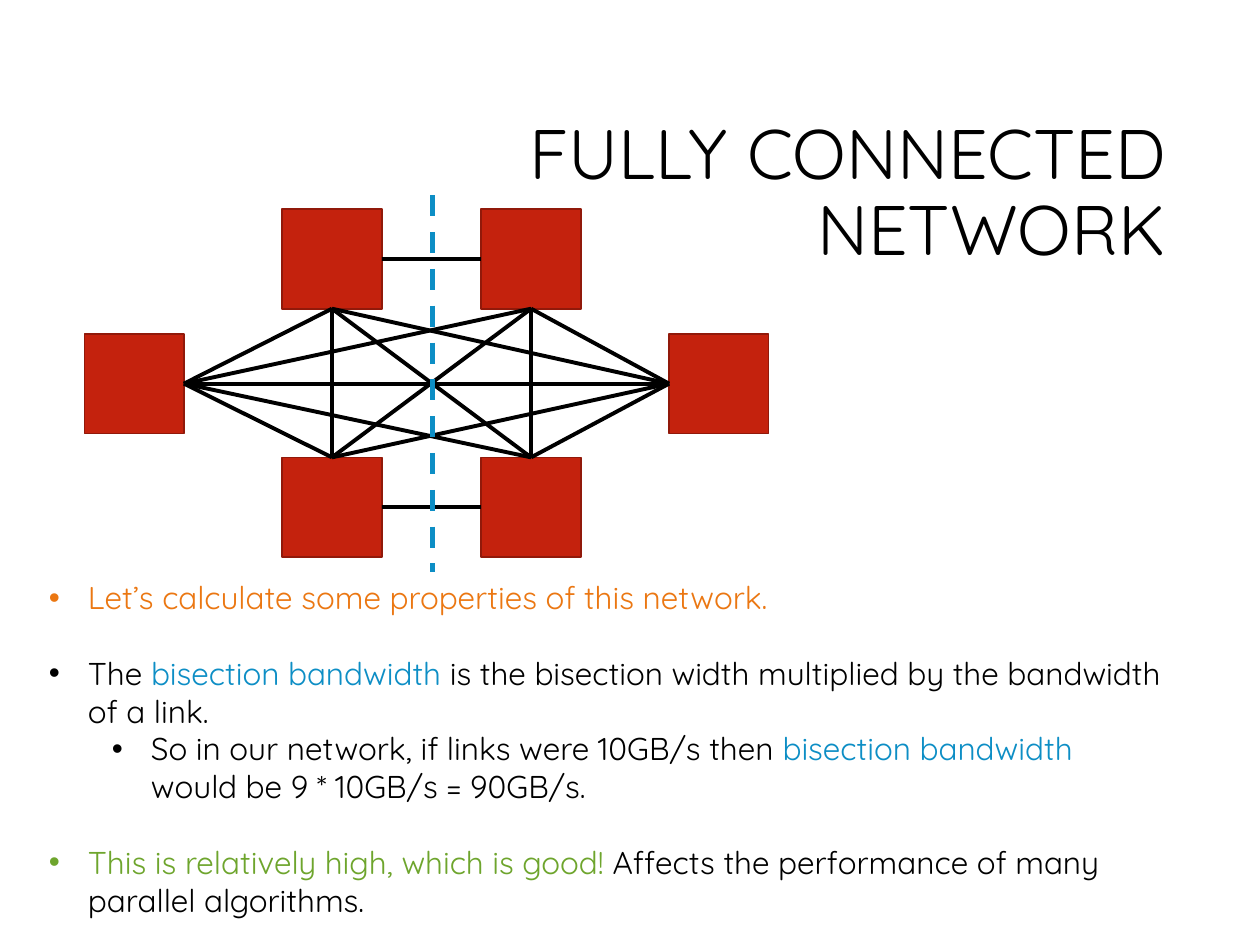
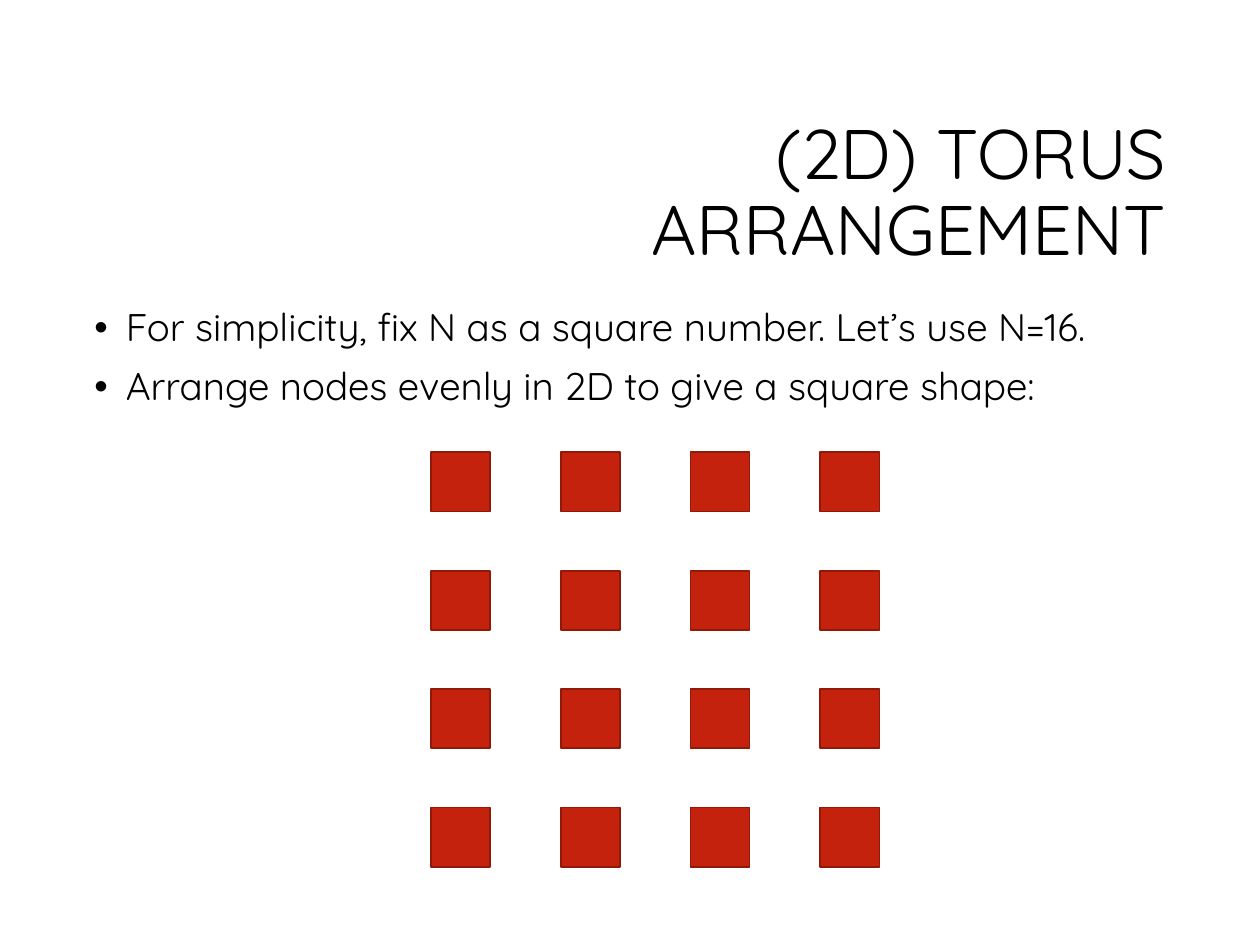
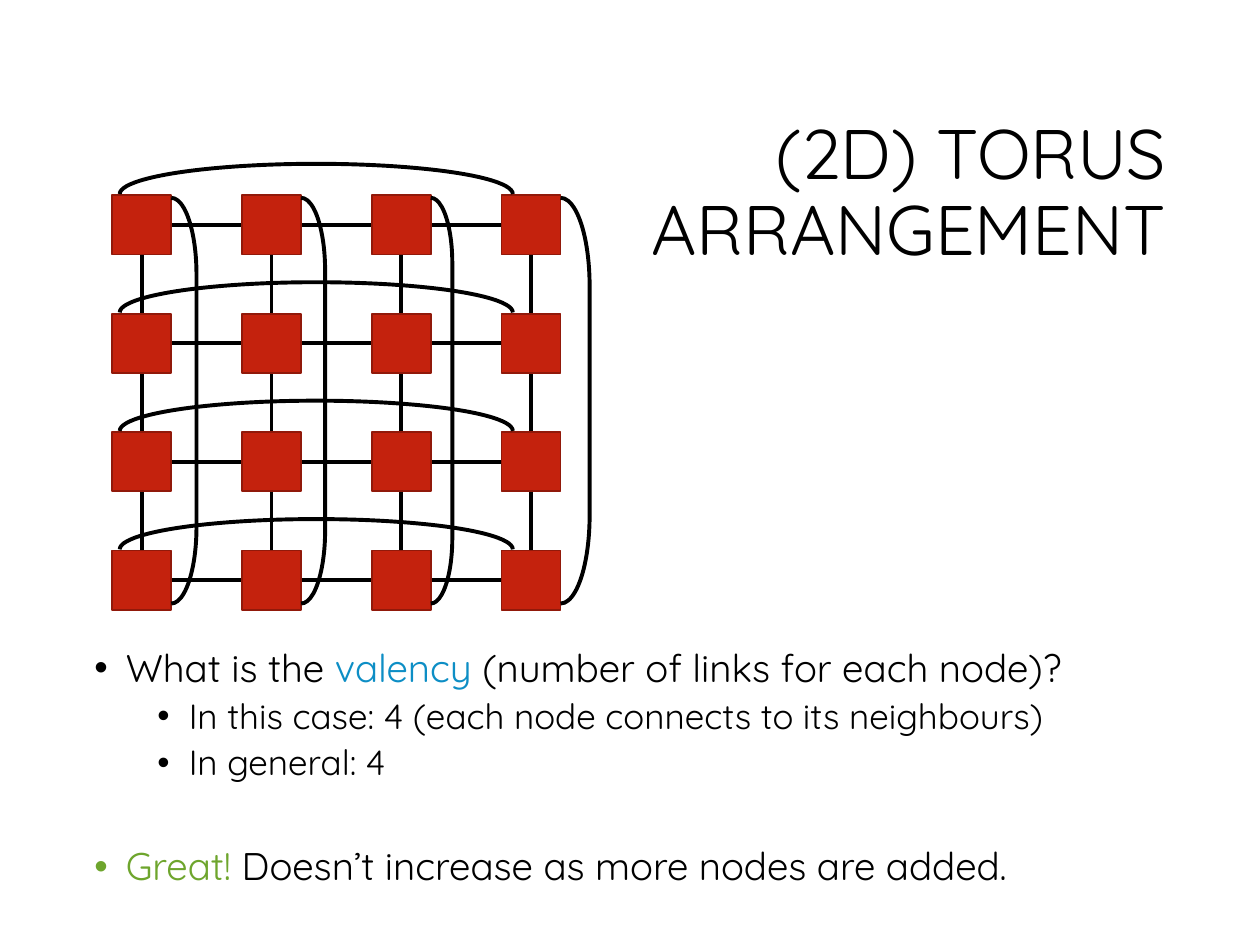
from dataclasses import dataclass
from itertools import combinations, product

from lxml import etree
from pptx import Presentation
from pptx.dml.color import RGBColor as Rgb
from pptx.enum.dml import MSO_LINE_DASH_STYLE as Dash
from pptx.enum.shapes import MSO_CONNECTOR as Connector, MSO_SHAPE as Shape
from pptx.enum.text import MSO_ANCHOR as Anchor, PP_ALIGN as Align
from pptx.oxml.ns import qn
from pptx.util import Inches, Pt


@dataclass(frozen=True)
class Theme:
    font: str = "Quicksand"
    black: str = "000000"
    orange: str = "EB7712"
    blue: str = "0D8EC5"
    green: str = "6EA52D"
    node_fill: str = "C4220D"
    node_line: str = "91190A"
    title_size: int = 40
    body_size: int = 22
    sub_size: int = 20
    dense_size: int = 18
    node_width: float = 1
    link_width: float = 2.25
    cut_width: float = 3
    tight: float = 0.9


THEME = Theme()

# Content. A bullet is (level, size, space before, runs); a run is (text, colour).
FULL_TITLE = "FULLY CONNECTED NETWORK"
TORUS_TITLE = "(2D) TORUS ARRANGEMENT"

BANDWIDTH_BULLETS = [
    (0, THEME.dense_size, 0,
     [("Let’s calculate some properties of this network.", THEME.orange)]),
    (0, THEME.dense_size, 21.6,
     [("The ", THEME.black), ("bisection bandwidth", THEME.blue),
      (" is the bisection width multiplied by the bandwidth of a link.", THEME.black)]),
    (1, THEME.dense_size, 0,
     [("So in our network, if links were 10GB/s then ", THEME.black),
      ("bisection bandwidth ", THEME.blue),
      ("would be 9 * 10GB/s = 90GB/s.", THEME.black)]),
    (0, THEME.dense_size, 21.6,
     [("This is relatively high, which is good! ", THEME.green),
      ("Affects the performance of many parallel algorithms.", THEME.black)]),
]
GRID_BULLETS = [
    (0, THEME.body_size, 0,
     [("For simplicity, fix N as a square number. Let’s use N=16.", THEME.black)]),
    (0, THEME.body_size, 10,
     [("Arrange nodes evenly in 2D to give a square shape:", THEME.black)]),
]
VALENCY_BULLETS = [
    (0, THEME.body_size, 0,
     [("What is the ", THEME.black), ("valency ", THEME.blue),
      ("(number of links for each node)?", THEME.black)]),
    (1, THEME.sub_size, 5,
     [("In this case: 4 (each node connects to its neighbours)", THEME.black)]),
    (1, THEME.sub_size, 5, [("In general: 4", THEME.black)]),
    (0, THEME.body_size, 36.6,
     [("Great! ", THEME.green),
      ("Doesn’t increase as more nodes are added.", THEME.black)]),
]

# Node positions, in inches
BIG_NODE = 0.79
INNER_X, INNER_Y = (2.24, 3.82), (1.66, 3.63)
OUTER_X, OUTER_Y = (0.67, 5.31), 2.65
SMALL_NODE, SIDE = 0.47, 4
STEP_X, STEP_Y = 1.03, 0.94
COLUMN_LOOP_WIDTHS = (0.2, 0.19, 0.17, 0.23)


def add_text_box(page, left, top, width, height):
    box = page.shapes.add_textbox(*map(Inches, (left, top, width, height)))
    box.text_frame.word_wrap = True
    return box.text_frame


def style_font(font, size, colour):
    font.name, font.size = THEME.font, Pt(size)
    font.color.rgb = Rgb.from_string(colour)


def add_title(page, text):
    frame = add_text_box(page, 2.38, 0.84, 6.97, 1.41)
    frame.vertical_anchor = Anchor.MIDDLE
    para = frame.paragraphs[0]
    para.text, para.alignment, para.line_spacing = text, Align.RIGHT, THEME.tight
    style_font(para.font, THEME.title_size, THEME.black)


def add_bullets(page, area, bullets, hang, line_spacing=None):
    frame = add_text_box(page, *area)
    for index, (level, size, before, runs) in enumerate(bullets):
        para = frame.add_paragraph() if index else frame.paragraphs[0]
        para.level = level
        para.line_spacing = line_spacing
        para.space_before = Pt(before)
        props = para._p.get_or_add_pPr()
        props.set("marL", str(Inches(hang + 0.5 * level)))
        props.set("indent", str(-Inches(hang)))
        etree.SubElement(props, qn("a:buFont"), typeface="Arial")
        etree.SubElement(props, qn("a:buChar"), char="•")
        style_font(para.font, size, runs[0][1])
        for text, colour in runs:
            span = para.add_run()
            span.text = text
            if len(runs) > 1:
                span.font.color.rgb = Rgb.from_string(colour)


def add_node(page, left, top, size):
    node = page.shapes.add_shape(Shape.RECTANGLE, *map(Inches, (left, top, size, size)))
    node.shadow.inherit = False
    node.fill.solid()
    node.fill.fore_color.rgb = Rgb.from_string(THEME.node_fill)
    node.line.color.rgb = Rgb.from_string(THEME.node_line)
    node.line.width = Pt(THEME.node_width)


def add_link(page, start, end, colour=THEME.black, width=THEME.link_width):
    link = page.shapes.add_connector(Connector.STRAIGHT, *map(Inches, (*start, *end)))
    link.line.color.rgb = Rgb.from_string(colour)
    link.line.width = Pt(width)
    etree.SubElement(link._element.spPr, qn("a:effectLst"))
    return link


def add_loop(page, left, top, width, height, bend, rotation=0):
    loop = page.shapes.add_shape(
        Shape.RIGHT_BRACKET, *map(Inches, (left, top, width, height)))
    loop.shadow.inherit = False
    loop.fill.background()
    loop.line.color.rgb = Rgb.from_string(THEME.black)
    loop.line.width = Pt(THEME.link_width)
    loop.adjustments[0] = bend
    loop.rotation = rotation


def add_node_grid(page, left, top):
    for row, column in product(range(SIDE), repeat=2):
        add_node(page, left + column * STEP_X, top + row * STEP_Y, SMALL_NODE)


def add_grid_links(page, left, top):
    half = SMALL_NODE / 2
    for line, gap in product(range(SIDE), range(SIDE - 1)):
        y = top + line * STEP_Y + half
        x = left + gap * STEP_X + SMALL_NODE
        add_link(page, (x, y), (x + STEP_X - SMALL_NODE, y))
        x = left + line * STEP_X + half
        y = top + gap * STEP_Y + SMALL_NODE
        add_link(page, (x, y), (x, y + STEP_Y - SMALL_NODE))


def add_wraparound_loops(page, left, top):
    for row in range(SIDE):
        add_loop(page, 2.39, top - 1.69 + row * STEP_Y, 0.24, 3.12, 6.61, rotation=270)
    for column, width in enumerate(COLUMN_LOOP_WIDTHS):
        add_loop(page, left + column * STEP_X + SMALL_NODE, top + 0.02, width, 3.22, 3.04)


def build_full_network(page):
    add_title(page, FULL_TITLE)
    inner = list(product(INNER_X, INNER_Y))
    for left, top in inner + [(x, OUTER_Y) for x in OUTER_X]:
        add_node(page, left, top, BIG_NODE)

    # Every pair of nodes meets at the edges that face the middle
    half = BIG_NODE / 2
    middle = OUTER_Y + half
    port_y = (INNER_Y[0] + BIG_NODE, INNER_Y[1])
    ports = [(x + half, y) for x, y in product(INNER_X, port_y)]
    ports += [(OUTER_X[0] + BIG_NODE, middle), (OUTER_X[1], middle)]
    for start, end in combinations(ports, 2):
        if start[1] != end[1] or start[1] == middle:
            add_link(page, start, end)
    for top in INNER_Y:
        add_link(page, (INNER_X[0] + BIG_NODE, top + half), (INNER_X[1], top + half))

    add_bullets(page, (0.29, 4.54, 9.06, 2.83), BANDWIDTH_BULLETS, hang=0.31)
    cut = add_link(page, (3.43, 1.55), (3.43, 4.54), THEME.blue, THEME.cut_width)
    cut.line.dash_style = Dash.DASH


def build_node_grid(page):
    add_title(page, TORUS_TITLE)
    add_bullets(page, (0.65, 2.4, 8.7, 1.04), GRID_BULLETS, 0.25, THEME.tight)
    add_node_grid(page, 3.42, 3.59)


def build_torus(page):
    corner = (0.89, 1.55)
    add_grid_links(page, *corner)
    add_title(page, TORUS_TITLE)
    add_node_grid(page, *corner)
    add_wraparound_loops(page, *corner)
    add_bullets(page, (0.65, 5.1, 9.07, 2.35), VALENCY_BULLETS, 0.25, THEME.tight)


def main():
    deck = Presentation()
    deck.slide_width, deck.slide_height = Inches(10), Inches(7.5)
    for build in (build_full_network, build_node_grid, build_torus):
        build(deck.slides.add_slide(deck.slide_layouts[6]))
    deck.save("out.pptx")


if __name__ == "__main__":
    main()
